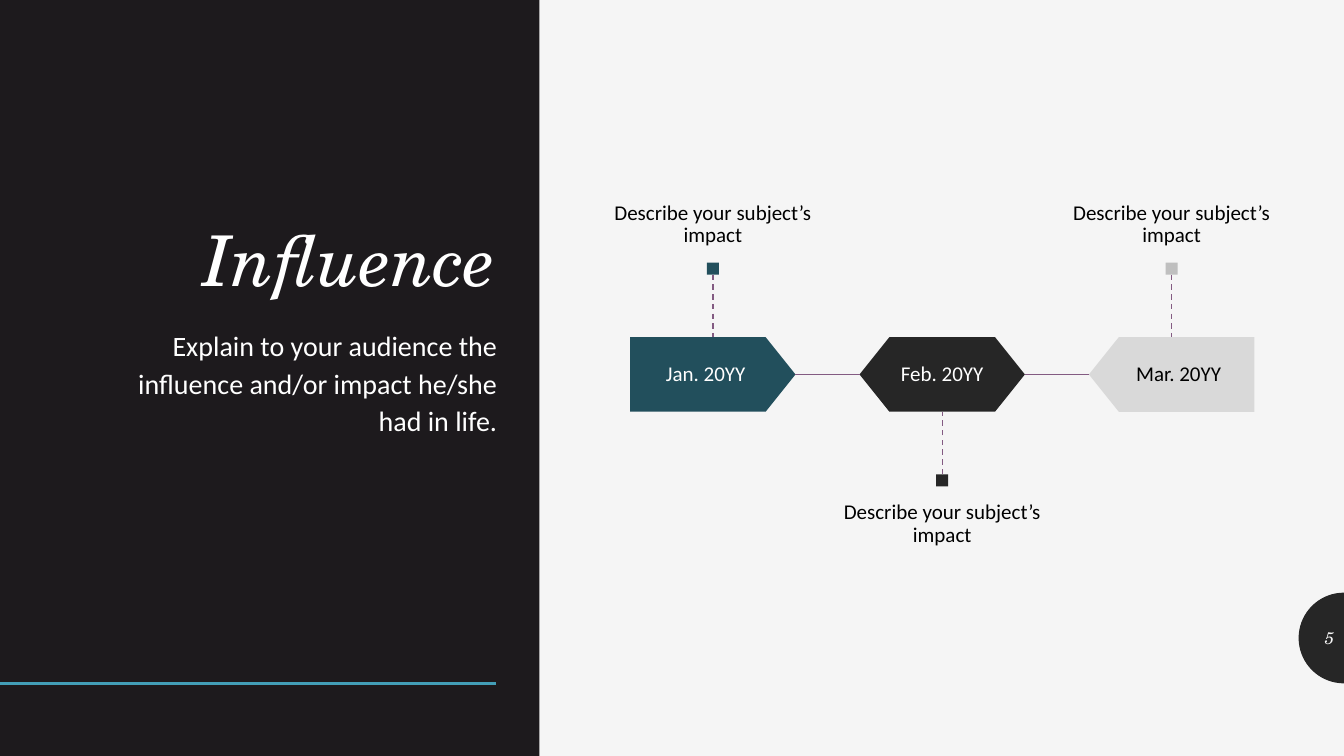
import math
from lxml import etree
from pptx import Presentation, util as u
from pptx.dml.color import RGBColor
from pptx.enum import dml, shapes, text
from pptx.oxml.ns import qn

TITLE = "Influence"
BODY = "Explain to your audience the influence and/or impact he/she had in life."
IMPACT = "Describe your subject’s impact"
PAGE = "5"
SERIF, SANS = "TeX Gyre Schola", "Calibri"
WHITE, BLACK, DARK, PLUM = "FFFFFF", "000000", "262626", "835B82"
PENTAGON, HEXAGON = shapes.MSO_SHAPE.PENTAGON, shapes.MSO_SHAPE.HEXAGON
RECT = shapes.MSO_SHAPE.RECTANGLE
STEPS = [
    dict(date="Jan. 20YY", kind=PENTAGON, turn=0, fill="224F5C", marker="224F5C",
         color=WHITE, above=True, shift=-0.07),
    dict(date="Feb. 20YY", kind=HEXAGON, turn=0, fill=DARK, marker=DARK,
         color=WHITE, above=False, shift=0),
    dict(date="Mar. 20YY", kind=PENTAGON, turn=180, fill="D9D9D9", marker="BFBFBF",
         color=BLACK, above=True, shift=0.07),
]

STEP_W, STEP_H, PITCH = 1.64, 0.74, 2.275
FIRST_X, MID_Y = 7.07, 3.715
STEM, MARK = 0.62, 0.12
NOTE_W, NOTE_H = 2.28, 1.98
TAB_X, TAB_Y, TAB_R = 13.33, 6.33, 0.45

prs = Presentation()
prs.slide_width, prs.slide_height = u.Inches(13.33), u.Inches(7.5)
s = prs.slides.add_slide(prs.slide_layouts[6])


def rgb(value):
    return RGBColor.from_string(value)


def paint(sp, fill):
    sp.shadow.inherit = False
    sp.fill.solid()
    sp.fill.fore_color.rgb = rgb(fill)
    sp.line.fill.background()
    return sp


def add_shape(kind, x, y, w, h, fill):
    return paint(s.shapes.add_shape(kind, *map(u.Inches, (x, y, w, h))), fill)


def add_line(x1, y1, x2, y2, color, width, dashed=False):
    cx = s.shapes.add_connector(shapes.MSO_CONNECTOR.STRAIGHT,
                                *map(u.Inches, (x1, y1, x2, y2)))
    cx.line.color.rgb = rgb(color)
    cx.line.width = u.Pt(width)
    if dashed:
        cx.line.dash_style = dml.MSO_LINE.DASH
    etree.SubElement(cx._element.spPr, qn("a:effectLst"))
    return cx


def add_text(words, x, y, w, h, size=15, color=BLACK, font=SANS, italic=False,
             align="CENTER", anchor="MIDDLE", spacing=0.9, before=0, inset=(0.1, 0.05)):
    tf = s.shapes.add_textbox(*map(u.Inches, (x, y, w, h))).text_frame
    tf.word_wrap = True
    tf.vertical_anchor = text.MSO_ANCHOR[anchor]
    tf.margin_left = tf.margin_right = u.Inches(inset[0])
    tf.margin_top = tf.margin_bottom = u.Inches(inset[1])
    p = tf.paragraphs[0]
    p.alignment = text.PP_ALIGN[align]
    p.line_spacing = spacing
    p.space_before = u.Pt(before)
    r = p.add_run()
    r.text = words
    r.font.name, r.font.size, r.font.italic = font, u.Pt(size), italic
    r.font.color.rgb = rgb(color)


def add_page_tab():
    arc = []
    for degrees in range(90, 271, 5):
        a = math.radians(degrees)
        arc.append((u.Inches(TAB_X + TAB_R * math.cos(a)),
                    u.Inches(TAB_Y + TAB_R * math.sin(a))))
    fb = s.shapes.build_freeform(*arc[0])
    fb.add_line_segments(arc[1:], close=True)
    paint(fb.convert_to_shape(), DARK)
    add_text(PAGE, TAB_X - TAB_R, 6.13, TAB_R, 0.4, size=12, color="F5F5F5",
             font=SERIF, italic=True, align="RIGHT", spacing=1.0)


def add_step(i, step):
    x = FIRST_X + i * PITCH
    left, top = x - STEP_W / 2, MID_Y - STEP_H / 2
    sp = add_shape(step["kind"], left, top, STEP_W, STEP_H, step["fill"])
    sp.adjustments[0] = 0.4
    sp.rotation = step["turn"]
    add_text(step["date"], left + 0.07 + step["shift"], top, STEP_W - 0.14, STEP_H,
             color=step["color"], inset=(0.12, 0.12))

    up = step["above"]
    sign = -1 if up else 1
    edge = MID_Y + sign * STEP_H / 2
    tip = edge + sign * STEM
    outer = tip + sign * MARK
    marker = add_shape(RECT, x - MARK / 2, min(tip, outer), MARK, MARK, step["marker"])
    stem = add_line(x, tip, x, edge, PLUM, 1, dashed=True)
    stem.begin_connect(marker, 2 if up else 0)
    add_text(IMPACT, x - NOTE_W / 2, outer - NOTE_H if up else outer, NOTE_W, NOTE_H,
             anchor="BOTTOM" if up else "TOP", inset=(0, 0.15))
    if i:
        add_line(x - PITCH + STEP_W / 2, MID_Y, left, MID_Y, PLUM, 0.5)


s.background.fill.solid()
s.background.fill.fore_color.rgb = rgb("F5F5F5")
add_shape(RECT, 0, 0, 5.35, 7.5, "1D1A1D")
add_line(0, 6.78, 4.92, 6.78, "439EB7", 2)
add_text(TITLE, 0.83, 0.61, 4.19, 2.43, size=50, color=WHITE, font=SERIF, italic=True,
         align="RIGHT", anchor="BOTTOM")
add_text(BODY, 0.83, 3.17, 4.2, 3.12, size=20, color=WHITE, align="RIGHT",
         anchor="TOP", spacing=1.12, before=9)
for i, step in enumerate(STEPS):
    add_step(i, step)
add_page_tab()

prs.save("out.pptx")
